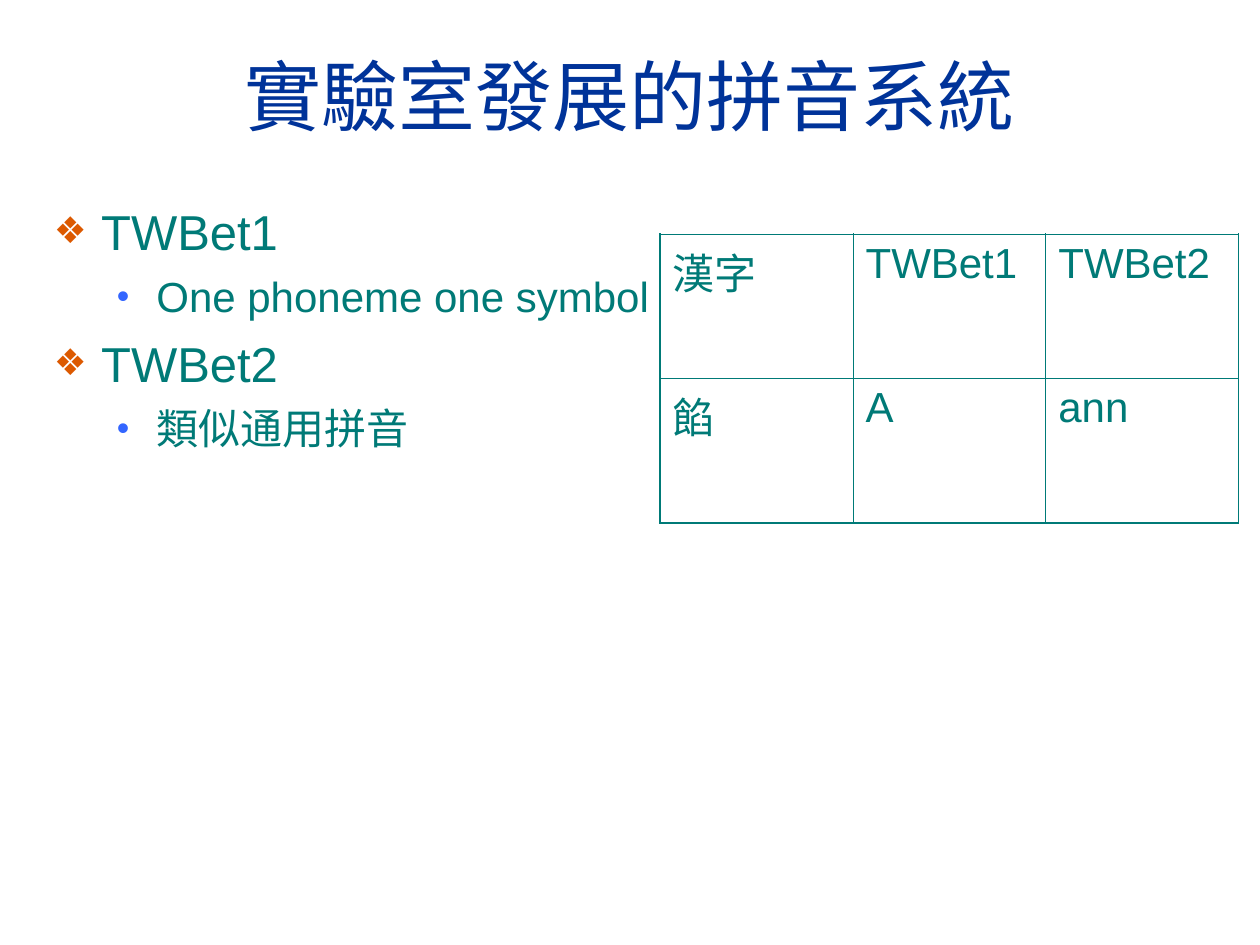
"""Build a slide that sets two romanisation schemes beside a sample table."""
from typing import NamedTuple

from lxml.etree import SubElement
from pptx import Presentation
from pptx.dml.color import RGBColor
from pptx.enum.text import MSO_ANCHOR, PP_ALIGN
from pptx.oxml.ns import qn
from pptx.util import Inches, Pt

NAVY = RGBColor(0x00, 0x33, 0x99)
TEAL = RGBColor(0x00, 0x7A, 0x77)
ORANGE = RGBColor(0xDC, 0x59, 0x00)
BLUE = RGBColor(0x33, 0x66, 0xFF)
FONT = "Arial"
COLS, ROWS = 100, 75
UNIT = Inches(0.1)
OUTER, INNER = Pt(1.08), Pt(0.45)


class Box(NamedTuple):
    """A place on the slide, in grid columns and rows."""
    col: float
    row: float
    width: float
    height: float

    def emu(self) -> list[int]:
        return [round(n * UNIT) for n in self]


class Level(NamedTuple):
    """The look of one outline level; indents are in grid columns."""
    size: int
    before: int
    left: float
    hang: float
    bullet: str
    color: RGBColor
    percent: int


class Item(NamedTuple):
    """One line of the outline."""
    level: Level
    text: str


TOPIC = Level(28, 7, 3.75, 3.75, "❖", ORANGE, 75)
DETAIL = Level(24, 6, 8.13, 3.13, "•", BLUE, 85)
TITLE_BOX = Box(3.3, 1.3, 93.4, 12.5)
BODY_BOX = Box(3.3, 15.5, 92.4, 46.5)
TABLE_BOX = Box(52.4, 18.6, 45.9, 22.9)
TITLE = "實驗室發展的拼音系統"
OUTLINE = [
    Item(TOPIC, "TWBet1"),
    Item(DETAIL, "One phoneme one symbol"),
    Item(TOPIC, "TWBet2"),
    Item(DETAIL, "類似通用拼音"),
]
SAMPLES = [["漢字", "TWBet1", "TWBet2"], ["餡", "A", "ann"]]


def write(p, text: str, size: int, color: RGBColor, **layout) -> None:
    """Put one formatted run into a paragraph."""
    for name, value in layout.items():
        setattr(p, name, value)
    r = p.add_run()
    r.text = text
    for name, value in {"name": FONT, "size": Pt(size), "bold": False}.items():
        setattr(r.font, name, value)
    r.font.color.rgb = color


def add_text_frame(s, box: Box, anchor: MSO_ANCHOR):
    """Add a wrapping text box and return its text frame."""
    tf = s.shapes.add_textbox(*box.emu()).text_frame
    for name, value in {"word_wrap": True, "vertical_anchor": anchor}.items():
        setattr(tf, name, value)
    return tf


def add_bullet(p, level: Level) -> None:
    """Give a paragraph the bullet and hanging indent of its level."""
    pPr = p._p.get_or_add_pPr()
    pPr.set("marL", str(round(level.left * UNIT)))
    pPr.set("indent", str(-round(level.hang * UNIT)))
    color = SubElement(pPr, qn("a:buClr"))
    SubElement(color, qn("a:srgbClr"), val=str(level.color))
    SubElement(pPr, qn("a:buSzPct"), val=str(level.percent * 1000))
    SubElement(pPr, qn("a:buFont"), typeface=FONT)
    SubElement(pPr, qn("a:buChar"), char=level.bullet)


def add_outline(s, box: Box, items: list[Item]) -> None:
    """Draw the two-level bulleted outline."""
    tf = add_text_frame(s, box, MSO_ANCHOR.TOP)
    for i, (level, text) in enumerate(items):
        p = tf.add_paragraph() if i else tf.paragraphs[0]
        write(p, text, level.size, TEAL, space_before=Pt(level.before))
        add_bullet(p, level)


def add_borders(cell, edges: dict[str, bool]) -> None:
    """Rule a cell, heavier along the outside of the table."""
    tcPr = cell._tc.get_or_add_tcPr()
    for side, outside in edges.items():
        ln = SubElement(tcPr, qn(f"a:ln{side}"), w=str(OUTER if outside else INNER))
        fill = SubElement(ln, qn("a:solidFill"))
        SubElement(fill, qn("a:srgbClr"), val=str(TEAL))


def add_samples(s, box: Box, data: list[list[str]]) -> None:
    """Draw the unfilled, ruled table of samples."""
    last_row, last_col = len(data) - 1, len(data[0]) - 1
    table = s.shapes.add_table(len(data), len(data[0]), *box.emu()).table
    table.first_row = table.horz_banding = False
    for i, row in enumerate(data):
        for j, text in enumerate(row):
            cell = table.cell(i, j)
            write(cell.text_frame.paragraphs[0], text, 24, TEAL, space_before=Pt(6))
            add_borders(cell, {"L": j == 0, "R": j == last_col,
                               "T": i == 0, "B": i == last_row})
            cell.fill.background()


def main() -> None:
    """Build and save the slide."""
    prs = Presentation()
    prs.slide_width, prs.slide_height = COLS * UNIT, ROWS * UNIT
    s = prs.slides.add_slide(prs.slide_layouts[6])
    title = add_text_frame(s, TITLE_BOX, MSO_ANCHOR.MIDDLE)
    write(title.paragraphs[0], TITLE, 44, NAVY, alignment=PP_ALIGN.CENTER)
    add_outline(s, BODY_BOX, OUTLINE)
    add_samples(s, TABLE_BOX, SAMPLES)
    prs.save("out.pptx")


if __name__ == "__main__":
    main()
